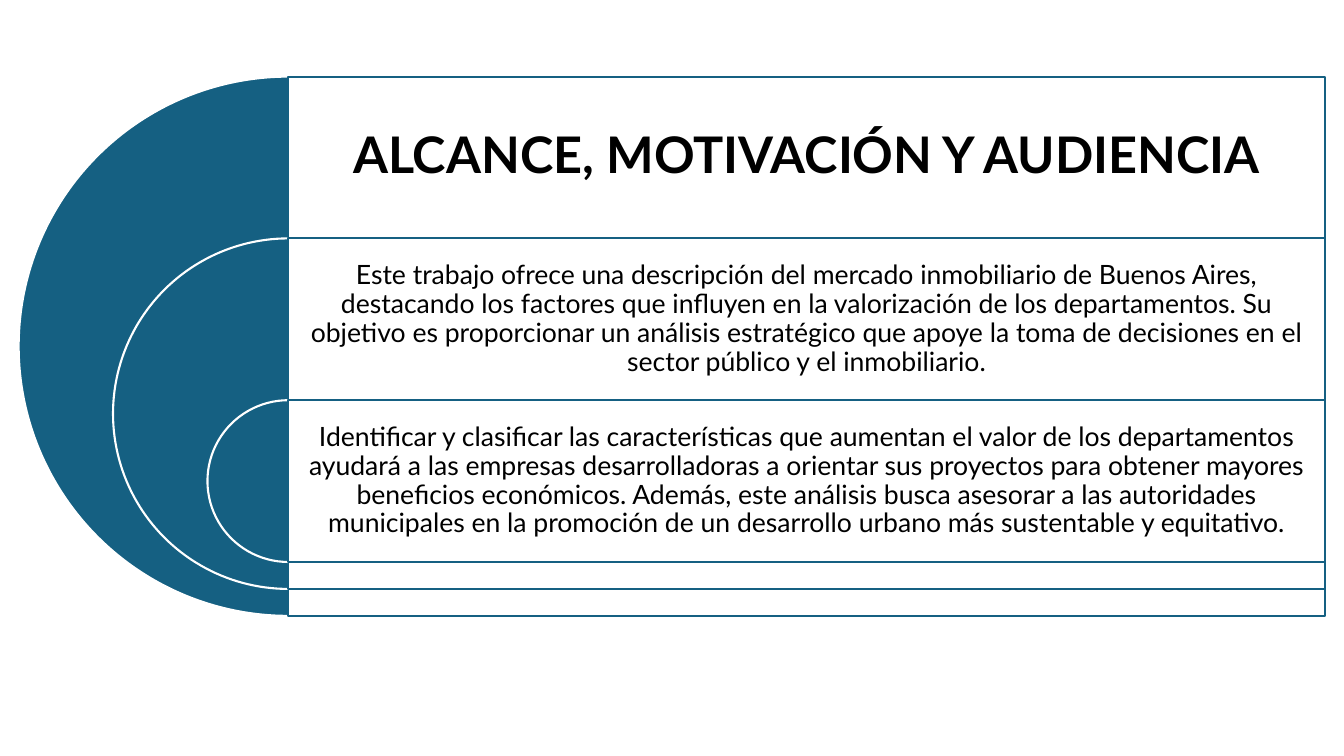
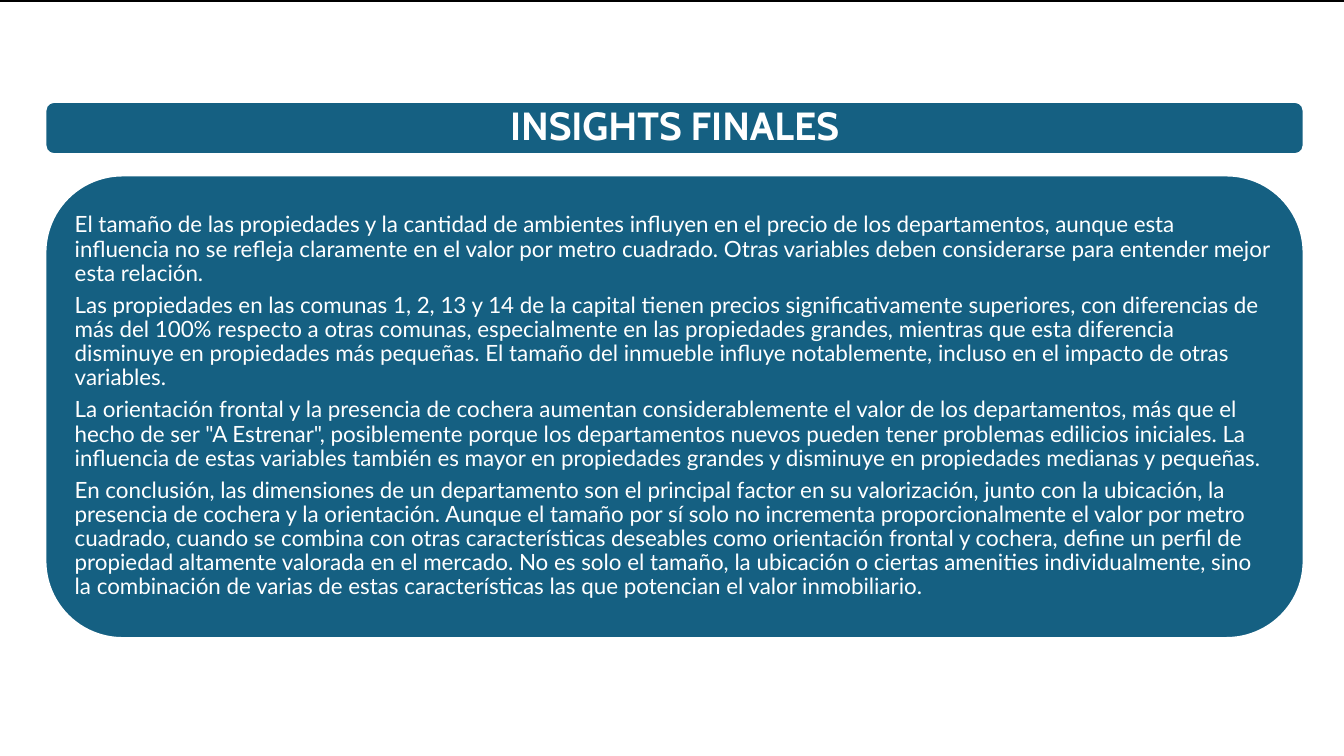
"""Build two slides: nested half circles with text bands, and final insights in rounded panels."""
import pptx
import pptx.util
import pptx.dml.color
import pptx.enum.shapes
import pptx.enum.text
import pptx.oxml.ns
import lxml.etree

COLORS = {"teal": "156082", "white": "FFFFFF", "black": "000000"}
WIDTH, HEIGHT = 13.33, 7.5
BORDER = 1.5
SHAPES = pptx.enum.shapes.MSO_SHAPE
CENTER = pptx.enum.text.PP_ALIGN.CENTER
LEFT = pptx.enum.text.PP_ALIGN.LEFT

TITLE_TEXT = {"size": 36, "bold": True, "inset": 0.15}
BODY_TEXT = {"size": 19, "inset": 0.08}
BANDS = [
    ("ALCANCE, MOTIVACIÓN Y AUDIENCIA", TITLE_TEXT),
    ("Este trabajo ofrece una descripción del mercado inmobiliario de Buenos Aires, destacando los factores que influyen en la valorización de los departamentos. Su objetivo es proporcionar un análisis estratégico que apoye la toma de decisiones en el sector público y el inmobiliario.", BODY_TEXT),
    ("Identificar y clasificar las características que aumentan el valor de los departamentos ayudará a las empresas desarrolladoras a orientar sus proyectos para obtener mayores beneficios económicos. Además, este análisis busca asesorar a las autoridades municipales en la promoción de un desarrollo urbano más sustentable y equitativo.", BODY_TEXT),
]
BAND_LEFT, BAND_TOP, BAND_WIDTH = 2.86, 0.76, 10.28
DIAMETER, SHRINK, ROW_SHARE = 5.35, 0.35, 0.3

INSIGHTS_TITLE = "INSIGHTS FINALES"
INSIGHTS = [
    "El tamaño de las propiedades y la cantidad de ambientes influyen en el precio de los departamentos, aunque esta influencia no se refleja claramente en el valor por metro cuadrado. Otras variables deben considerarse para entender mejor esta relación.",
    "Las propiedades en las comunas 1, 2, 13 y 14 de la capital tienen precios significativamente superiores, con diferencias de más del 100% respecto a otras comunas, especialmente en las propiedades grandes, mientras que esta diferencia disminuye en propiedades más pequeñas. El tamaño del inmueble influye notablemente, incluso en el impacto de otras variables.",
    "La orientación frontal y la presencia de cochera aumentan considerablemente el valor de los departamentos, más que el hecho de ser \"A Estrenar\", posiblemente porque los departamentos nuevos pueden tener problemas edilicios iniciales. La influencia de estas variables también es mayor en propiedades grandes y disminuye en propiedades medianas y pequeñas.",
    "En conclusión, las dimensiones de un departamento son el principal factor en su valorización, junto con la ubicación, la presencia de cochera y la orientación. Aunque el tamaño por sí solo no incrementa proporcionalmente el valor por metro cuadrado, cuando se combina con otras características deseables como orientación frontal y cochera, define un perfil de propiedad altamente valorada en el mercado. No es solo el tamaño, la ubicación o ciertas amenities individualmente, sino la combinación de varias de estas características las que potencian el valor inmobiliario.",
]
PANEL_LEFT, PANEL_WIDTH = 0.45, 12.48
CORNER_INSET = 0.29 / 6
PANELS = [
    (1.01, 0.52, [INSIGHTS_TITLE],
     {"size": 28, "bold": True, "inset": 0.12, "font": "Cabin"}),
    (1.74, 4.59, INSIGHTS, {"size": 16, "inset": 0.07, "align": LEFT}),
]


def color(name):
    return pptx.dml.color.RGBColor.from_string(COLORS[name])


def inches(*lengths):
    return [pptx.util.Inches(length) for length in lengths]


def add_shape(slide, kind, box, fill, line, line_width=BORDER, opacity=None):
    shape = slide.shapes.add_shape(kind, *inches(*box))
    shape.shadow.inherit = False
    shape.fill.solid()
    shape.fill.fore_color.rgb = color(fill)
    shape.line.color.rgb = color(line)
    shape.line.width = pptx.util.Pt(line_width)
    if opacity is not None:
        tint = shape.fill._xPr.find(".//" + pptx.oxml.ns.qn("a:srgbClr"))
        lxml.etree.SubElement(tint, pptx.oxml.ns.qn("a:alpha"), val=str(opacity * 1000))
    return shape


def add_text(slide, box, lines, ink, size, inset, bold=False, font="Lato", align=CENTER):
    frame = slide.shapes.add_textbox(*inches(*box)).text_frame
    frame.word_wrap = True
    frame.vertical_anchor = pptx.enum.text.MSO_ANCHOR.MIDDLE
    frame.margin_left, frame.margin_top, frame.margin_right, frame.margin_bottom = inches(*[inset] * 4)
    frame.text = "\n".join(lines)
    for paragraph in frame.paragraphs:
        paragraph.alignment = align
        paragraph.line_spacing = 0.9
        paragraph.space_after = pptx.util.Pt(size * 0.35)
        for run in paragraph.runs:
            run.font.name = font
            run.font.size = pptx.util.Pt(size)
            run.font.bold = bold
            run.font.color.rgb = color(ink)


def build_scope(slide):
    row = DIAMETER * ROW_SHARE
    for index, (text, style) in enumerate(BANDS):
        diameter = DIAMETER * (1 - SHRINK * index)
        top = BAND_TOP + row * index
        pie = add_shape(slide, SHAPES.PIE, (BAND_LEFT - diameter / 2, top, diameter, diameter), "teal", "white")
        pie.adjustments[0], pie.adjustments[1] = 54, 162
        add_shape(slide, SHAPES.RECTANGLE, (BAND_LEFT, top, BAND_WIDTH, diameter), "white", "teal", opacity=90)
        add_text(slide, (BAND_LEFT, top, BAND_WIDTH, row), [text], "black", **style)


def build_insights(slide):
    add_shape(slide, SHAPES.RECTANGLE, (0, 0, WIDTH, 0.02), "black", "black", 0.75)
    for top, height, lines, style in PANELS:
        add_shape(slide, SHAPES.ROUNDED_RECTANGLE, (PANEL_LEFT, top, PANEL_WIDTH, height), "teal", "white")
        inset = height * CORNER_INSET
        box = (PANEL_LEFT + inset, top + inset, PANEL_WIDTH - 2 * inset, height - 2 * inset)
        add_text(slide, box, lines, "white", **style)


def main():
    presentation = pptx.Presentation()
    presentation.slide_width, presentation.slide_height = inches(WIDTH, HEIGHT)
    for build in (build_scope, build_insights):
        build(presentation.slides.add_slide(presentation.slide_layouts[6]))
    presentation.save("out.pptx")


if __name__ == "__main__":
    main()
